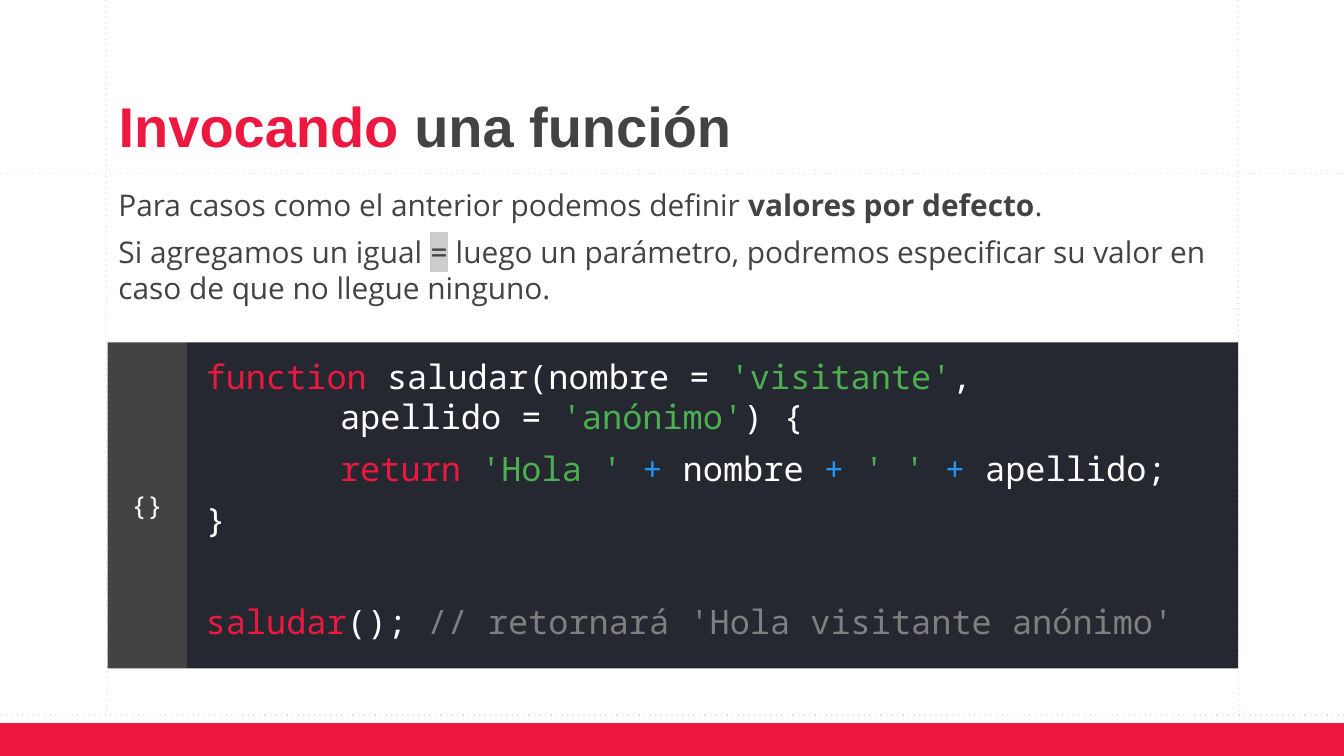
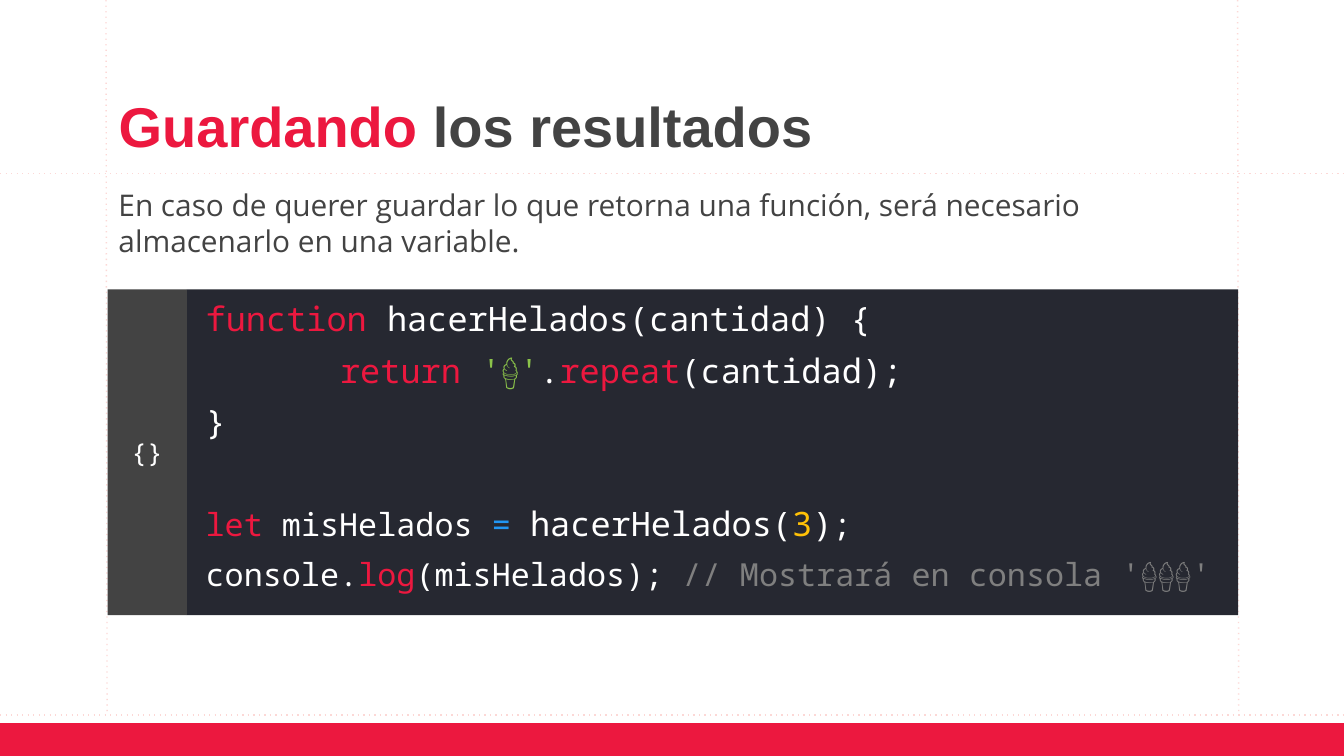
from dataclasses import dataclass

from lxml.etree import SubElement
from pptx import Presentation
from pptx.dml.color import RGBColor
from pptx.enum.dml import MSO_LINE
from pptx.enum.shapes import MSO_CONNECTOR, MSO_SHAPE
from pptx.enum.text import MSO_ANCHOR as Anchor, MSO_AUTO_SIZE, PP_ALIGN as Align
from pptx.oxml import parse_xml
from pptx.oxml.ns import nsdecls, qn
from pptx.util import Pt


@dataclass(frozen=True)
class Theme:
    """Colours, fonts and type sizes of the deck."""
    red: str = "EC183F"
    ink: str = "434343"
    guide: str = "FCD8D6"
    panel: str = "262831"
    white: str = "FFFFFF"
    green: str = "4CAF50"
    lime: str = "8BC34A"
    blue: str = "2196F3"
    amber: str = "FFC107"
    gray: str = "7F7F7F"
    mark: str = "CCCCCC"
    title_font: str = "Arial"
    body_font: str = "Open Sans"
    code_font: str = "Noto Sans Mono"
    title_size: float = 30
    body_size: float = 16
    code_size: float = 18
    small_code_size: float = 17
    tab_size: float = 14
    title_leading: float = 0.9
    gap: float = 6
    blank_line_gap: float = 33
    code_indent: float = 72


@dataclass(frozen=True)
class Box:
    """A rectangle in points."""
    left: float
    top: float
    width: float
    height: float

    def lengths(self):
        """Return the four lengths for python-pptx."""
        return Pt(self.left), Pt(self.top), Pt(self.width), Pt(self.height)


THEME = Theme()
PAGE = Box(0, 0, 720, 405)
BREAK = None
INSET = 7.2


def add_span(para, text, color, font, size, bold=False):
    """Append one formatted run and return it."""
    span = para.add_run()
    span.text = text
    span.font.name = font
    span.font.size = Pt(size)
    span.font.bold = bold
    span.font.color.rgb = RGBColor.from_string(color)
    return span


def highlight(span, color):
    """Put a background colour behind a run."""
    mark = parse_xml(f'<a:highlight {nsdecls("a")}><a:srgbClr val="{color}"/></a:highlight>')
    span.font._element.find(qn("a:latin")).addprevious(mark)


def hang(para, indent):
    """Indent every line of a paragraph but the first."""
    properties = para._p.get_or_add_pPr()
    properties.set("marL", str(Pt(indent)))
    properties.set("indent", str(-Pt(indent)))


def set_frame(frame, anchor, left=INSET, top=INSET):
    """Set wrapping, insets and vertical anchor of a text frame."""
    frame.word_wrap = True
    frame.auto_size = MSO_AUTO_SIZE.NONE
    frame.vertical_anchor = anchor
    frame.margin_left, frame.margin_top = Pt(left), Pt(top)
    frame.margin_right = frame.margin_bottom = Pt(INSET)


def next_para(frame, index):
    """Return the first paragraph or a new one."""
    return frame.paragraphs[0] if index == 0 else frame.add_paragraph()


def add_block(shapes, box, color):
    """Draw a plain filled rectangle."""
    block = shapes.add_shape(MSO_SHAPE.RECTANGLE, *box.lengths())
    block.shadow.inherit = False
    block.fill.solid()
    block.fill.fore_color.rgb = RGBColor.from_string(color)
    block.line.fill.background()
    return block


def add_guide(page, start, end):
    """Draw one dotted guide line."""
    guide = page.shapes.add_connector(
        MSO_CONNECTOR.STRAIGHT, *(Pt(value) for value in start + end))
    guide.line.color.rgb = RGBColor.from_string(THEME.guide)
    guide.line.width = Pt(0.75)
    guide.line.dash_style = MSO_LINE.ROUND_DOT
    properties = guide._element.spPr
    properties.find(qn("a:ln")).find(qn("a:prstDash")).set("val", "dot")
    SubElement(properties, qn("a:effectLst"))


def add_frame(page, box):
    """Draw the guides and the bottom band shared by all slides."""
    floor = box.top + box.height - 22
    for x in (56.8, 663):
        add_guide(page, (box.left + x, box.top), (box.left + x + 0.6, floor))
    for y in (box.top + 93, floor):
        add_guide(page, (box.left, y), (box.left + box.width, y))
    add_block(page.shapes, Box(box.left, floor + 4.4, box.width, 17.6), THEME.red)


def add_title(page, box, accent, rest):
    """Place the title with its first words in red."""
    title = page.shapes.title
    title.left, title.top, title.width, title.height = box.lengths()
    set_frame(title.text_frame, Anchor.BOTTOM)
    para = title.text_frame.paragraphs[0]
    para.alignment = Align.LEFT
    para.line_spacing = THEME.title_leading
    for text, color in ((accent, THEME.red), (rest, THEME.ink)):
        add_span(para, text, color, THEME.title_font, THEME.title_size, True)


def add_body(page, box, paragraphs):
    """Write the explanation, with bold and code runs."""
    frame = page.shapes.add_textbox(*box.lengths()).text_frame
    set_frame(frame, Anchor.TOP)
    for index, pieces in enumerate(paragraphs):
        para = next_para(frame, index)
        para.space_before = Pt(THEME.gap if index else 0)
        for text, style in pieces:
            font = THEME.code_font if style == "code" else THEME.body_font
            span = add_span(para, text, THEME.ink, font, THEME.body_size, style == "bold")
            if style == "code":
                highlight(span, THEME.mark)


def add_code(page, box, lines):
    """Draw the code panel with its side tab; an empty line becomes a gap."""
    tab_width = 42.5
    group = page.shapes.add_group_shape()
    panel = add_block(group.shapes, Box(
        box.left + tab_width, box.top, box.width - tab_width, box.height), THEME.panel)
    set_frame(panel.text_frame, Anchor.MIDDLE, 10.1, 0)
    gap, index = THEME.gap, 0
    for line in lines:
        if not line:
            gap = THEME.blank_line_gap
            continue
        para = next_para(panel.text_frame, index)
        para.alignment = Align.LEFT
        para.space_before = Pt(gap)
        hang(para, THEME.code_indent)
        for piece in line:
            if piece is BREAK:
                para.add_line_break()
                continue
            text, color, *size = piece
            add_span(para, text, color, THEME.code_font, size[0] if size else THEME.code_size)
        gap, index = THEME.gap, index + 1
    tab = add_block(group.shapes, Box(box.left, box.top, tab_width, box.height), THEME.ink)
    set_frame(tab.text_frame, Anchor.MIDDLE)
    para = tab.text_frame.paragraphs[0]
    para.alignment = Align.CENTER
    add_span(para, "{}", THEME.white, THEME.code_font, THEME.tab_size)


def add_code_slide(deck, title, title_width, body, code_top, code):
    """Add one slide with title, explanation and code panel."""
    page = deck.slides.add_slide(deck.slide_layouts[5])
    add_frame(page, PAGE)
    add_body(page, Box(56.4, 92.9, 607, 38.2), body)
    add_title(page, Box(56.4, 43.2, title_width, 49.7), *title)
    add_code(page, Box(57.6, code_top, 605.8, 174.6), code)


def main():
    """Build and save the deck."""
    deck = Presentation()
    deck.slide_width, deck.slide_height = Pt(PAGE.width), Pt(PAGE.height)
    red, white, green, blue = THEME.red, THEME.white, THEME.green, THEME.blue
    small = THEME.small_code_size

    add_code_slide(
        deck, ("Invocando", " una función"), 607,
        [[("Para casos como el anterior podemos definir ", ""),
          ("valores por defecto", "bold"), (".", "")],
         [("Si agregamos un igual ", ""), ("=", "code"),
          (" luego un parámetro, podremos especificar su valor en caso de que "
           "no llegue ninguno.", "")]],
        183.5,
        [[("function", red), (" saludar(nombre = ", white), ("'visitante'", green),
          (", ", white), BREAK, ("apellido = ", white), ("'anónimo'", green),
          (") {", white)],
         [("\treturn ", red), ("'Hola ' ", green), ("+", blue), (" nombre ", white),
          ("+ ", blue), ("' ' ", green), ("+", blue), (" apellido;", white)],
         [("}", white)],
         [],
         [("saludar", red), ("(); ", white),
          ("// retornará 'Hola visitante anónimo'", THEME.gray)]])

    add_code_slide(
        deck, ("Guardando ", "los resultados"), 429,
        [[("En caso de querer guardar lo que retorna una función, será necesario "
           "almacenarlo en una variable.", "")]],
        155,
        [[("function", red), (" hacerHelados(cantidad) {", white)],
         [("\treturn ", red), ("'🍦'", THEME.lime), (".", white), ("repeat", red),
          ("(cantidad);", white)],
         [("}", white)],
         [],
         [("let ", red, small), ("misHelados ", white, small), ("= ", blue, small),
          ("hacerHelados(", white), ("3", THEME.amber), (")", white),
          (";", white, small)],
         [("console.", white, small), ("log", red, small),
          ("(misHelados); ", white, small),
          ("// Mostrará en consola '🍦🍦🍦'", THEME.gray, small)]])

    deck.save("out.pptx")


if __name__ == "__main__":
    main()
